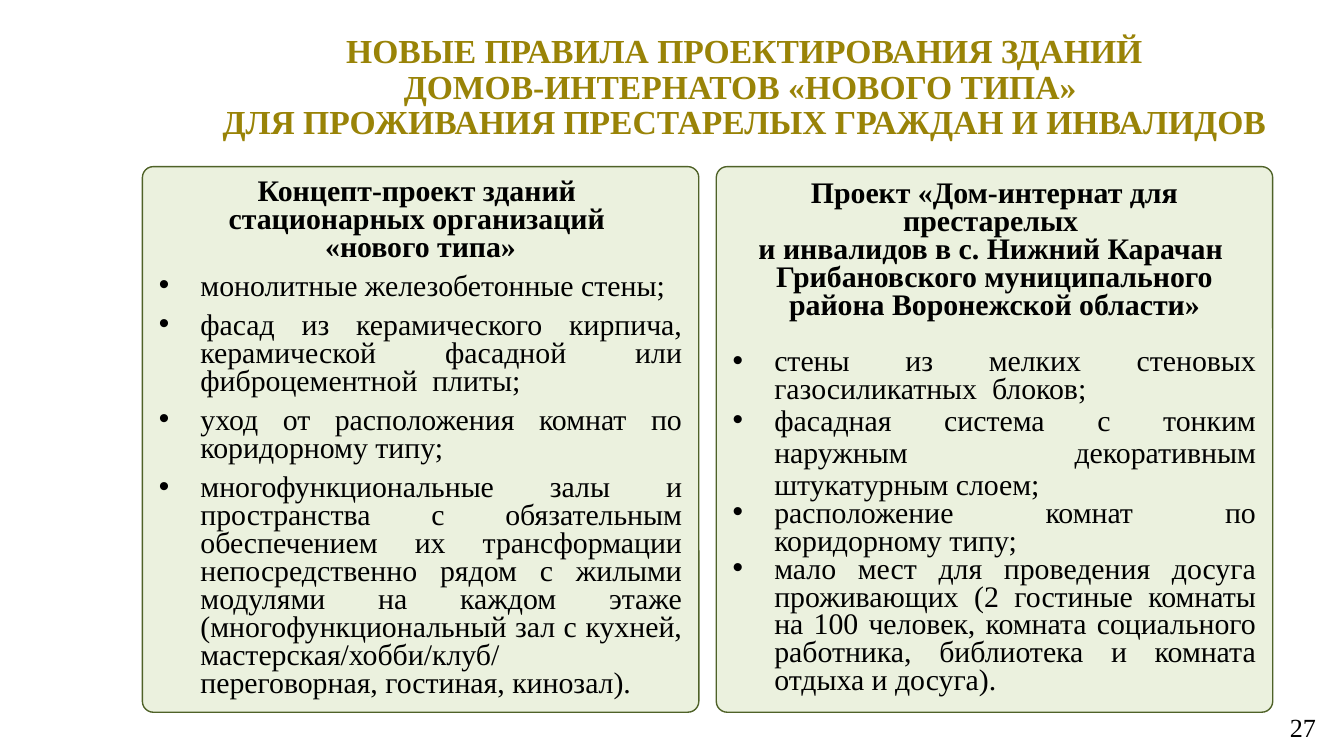
from lxml import etree
from pptx import Presentation, util as u
from pptx.dml.color import RGBColor
from pptx.enum import shapes, text
from pptx.oxml.ns import qn

COLORS = {"title": "998307", "text": "000000", "card": "EBF1DE", "border": "4F6228"}
FONT = "Times New Roman"

# Two-column grid, in inches
LEFT, TOP, COLUMN, GAP, ROW = 1.06, 1.24, 4.14, 0.13, 4.06
INDENT = u.Inches(0.31)

TITLE = [
    " НОВЫЕ ПРАВИЛА ПРОЕКТИРОВАНИЯ ЗДАНИЙ ",
    "ДОМОВ-ИНТЕРНАТОВ «НОВОГО ТИПА» ",
    "ДЛЯ ПРОЖИВАНИЯ ПРЕСТАРЕЛЫХ ГРАЖДАН И ИНВАЛИДОВ",
]

# Each card: heading lines, space after heading, space between bullets,
# bullets with their line spacing
CARDS = [
    (
        ["Концепт-проект зданий ", "стационарных организаций ", "«нового типа»"],
        6, 6,
        [
            ("монолитные железобетонные стены;", 15),
            ("фасад из керамического кирпича, керамической фасадной или "
             "фиброцементной  плиты;", 15),
            ("уход от расположения комнат по коридорному типу;", 15),
            ("многофункциональные залы и пространства с обязательным "
             "обеспечением их трансформации непосредственно рядом с жилыми "
             "модулями на каждом этаже (многофункциональный зал с кухней, "
             "мастерская/хобби/клуб/ переговорная, гостиная, кинозал).", 15),
        ],
    ),
    (
        ["Проект «Дом-интернат для престарелых ",
         "и инвалидов в с. Нижний Карачан ",
         "Грибановского муниципального района Воронежской области»"],
        15, 0,
        [
            ("стены из мелких стеновых газосиликатных  блоков; ", 15),
            ("фасадная система с тонким наружным декоративным "
             "штукатурным слоем;", 17),
            ("расположение комнат по коридорному типу;", 15),
            ("мало мест для проведения досуга проживающих (2 гостиные комнаты "
             "на 100 человек, комната социального работника, библиотека и "
             "комната отдыха и досуга).", 15),
        ],
    ),
]


def add_paragraph(frame, words, size, align, spacing=None, bold=False, color="text"):
    """Fill the empty first paragraph of the frame, or append a new one."""
    first = frame.paragraphs[0]
    para = frame.add_paragraph() if first.runs else first
    para.add_run().text = words
    para.alignment = align
    para.space_before = u.Pt(0)
    if spacing:
        para.line_spacing = u.Pt(spacing)
    para.font.name, para.font.size, para.font.bold = FONT, u.Pt(size), bold
    para.font.color.rgb = RGBColor.from_string(COLORS[color])
    return para


def add_bullet(para):
    """Give the paragraph a hanging round bullet."""
    props = para._p.get_or_add_pPr()
    props.set("marL", str(INDENT))
    props.set("indent", str(-INDENT))
    font = etree.Element(qn("a:buFont"), typeface="Arial")
    mark = etree.Element(qn("a:buChar"), char="•")
    defaults = props.find(qn("a:defRPr"))
    defaults.addprevious(font)
    defaults.addprevious(mark)


# Widescreen page, 16:9
deck = Presentation()
deck.slide_width = u.Inches(10)
deck.slide_height = u.Inches(10 * 9 / 16)
page = deck.slides.add_slide(deck.slide_layouts[5])

# Title
title = page.shapes.title
title.left, title.top = u.Inches(1.08), u.Inches(0.21)
title.width, title.height = u.Inches(8.92), u.Inches(0.9)
frame = title.text_frame
frame.word_wrap = True
frame.auto_size = text.MSO_AUTO_SIZE.NONE
frame.vertical_anchor = text.MSO_ANCHOR.TOP
for line in TITLE:
    add_paragraph(frame, line, 18, text.PP_ALIGN.CENTER, 19, True, "title")

# Cards
for column, (heading, heading_gap, bullet_gap, bullets) in enumerate(CARDS):
    card = page.shapes.add_shape(
        shapes.MSO_SHAPE.ROUNDED_RECTANGLE,
        u.Inches(LEFT + column * (COLUMN + GAP)), u.Inches(TOP),
        u.Inches(COLUMN), u.Inches(ROW))
    card.adjustments[0] = 0.02
    card.shadow.inherit = False
    card.fill.solid()
    card.fill.fore_color.rgb = RGBColor.from_string(COLORS["card"])
    card.line.color.rgb = RGBColor.from_string(COLORS["border"])
    card.line.width = u.Pt(0.75)
    frame = card.text_frame
    frame.word_wrap = True
    frame.vertical_anchor = text.MSO_ANCHOR.MIDDLE
    for line in heading:
        para = add_paragraph(frame, line, 16, text.PP_ALIGN.CENTER, 15, True)
    para.space_after = u.Pt(heading_gap)
    for words, spacing in bullets:
        para = add_paragraph(frame, words, 16, text.PP_ALIGN.JUSTIFY, spacing)
        add_bullet(para)
        para.space_after = u.Pt(bullet_gap)
    para.space_after = u.Pt(0)

# Page number
number = page.shapes.add_textbox(
    u.Inches(7.56), u.Inches(5.26), u.Inches(2.33), u.Inches(0.3))
number.text_frame.word_wrap = True
number.text_frame.vertical_anchor = text.MSO_ANCHOR.MIDDLE
add_paragraph(number.text_frame, "27", 14, text.PP_ALIGN.RIGHT)

deck.save("out.pptx")
